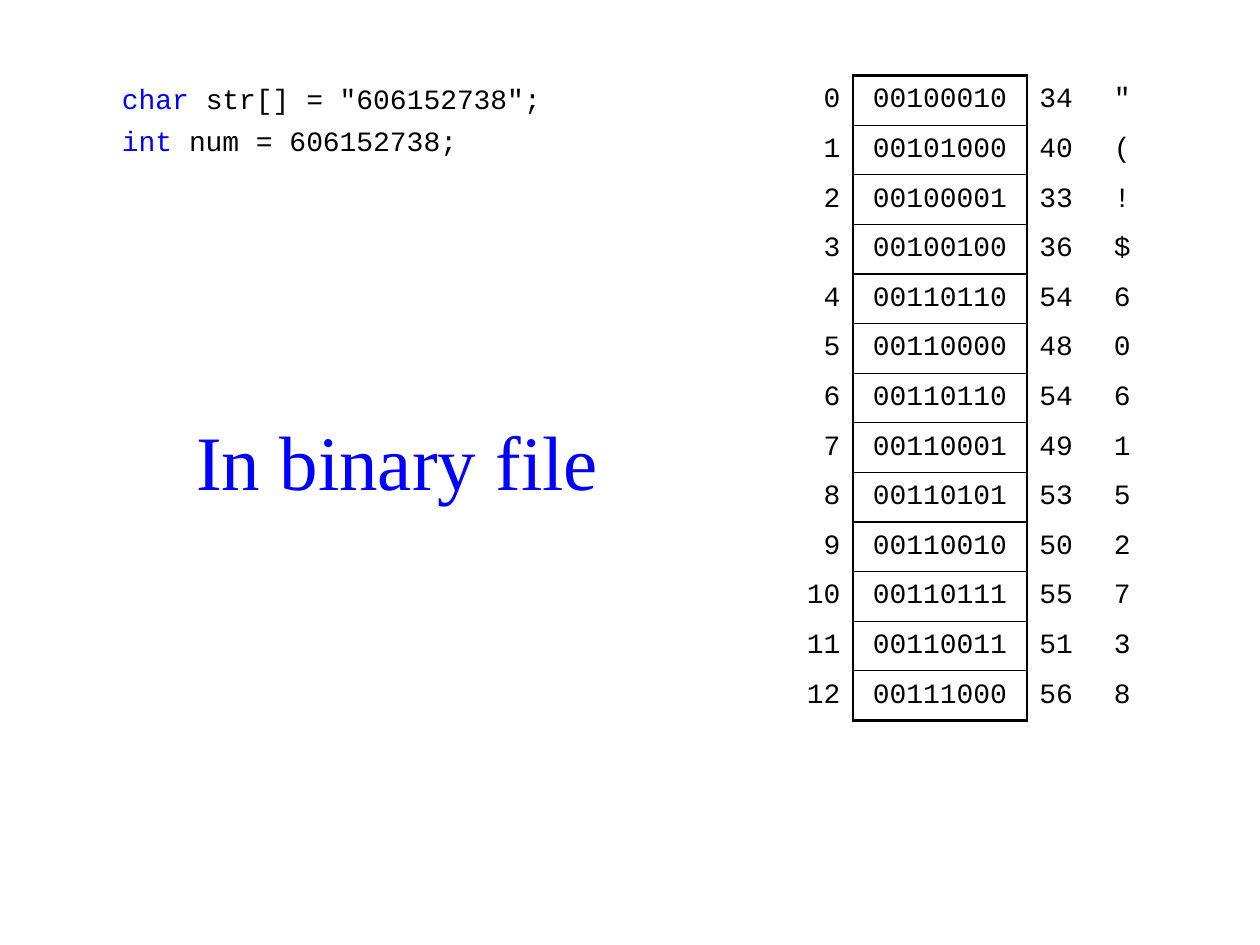
from dataclasses import dataclass

from lxml import etree
from pptx import Presentation
from pptx.dml.color import RGBColor
from pptx.enum.text import MSO_ANCHOR, PP_ALIGN
from pptx.oxml.ns import qn
from pptx.util import Inches, Pt

TOP, MIDDLE = MSO_ANCHOR.TOP, MSO_ANCHOR.MIDDLE
LEFT, CENTER, RIGHT = PP_ALIGN.LEFT, PP_ALIGN.CENTER, PP_ALIGN.RIGHT


@dataclass(frozen=True)
class Theme:
    ink: str = "000000"
    accent: str = "0000FF"
    code_font: str = "Courier New"
    title_font: str = "Times New Roman"
    code_size: float = 16
    title_size: float = 44
    code_gap: float = 4.75
    frame: float = 1.5
    divider: float = 0.75


THEME = Theme()
CODE_FORMAT = {"name": THEME.code_font, "size": Pt(THEME.code_size)}
TITLE_FORMAT = {"name": THEME.title_font, "size": Pt(THEME.title_size)}

TITLE = [[("In binary file", THEME.accent)]]
DECLARATIONS = [
    [("char ", THEME.accent), ('str[] = "606152738";', THEME.ink)],
    [("int ", THEME.accent), ("num = 606152738;", THEME.ink)],
]
FILE_CONTENT = '"(!$606152738'
COLUMN_WIDTHS = (0.59, 1.38, 0.59, 0.39)
COLUMN_ALIGNMENTS = (RIGHT, CENTER, LEFT, LEFT)
COLUMN_INSETS = (0.1, 0.08, 0.1, 0.1)
TABLE_HEIGHT = 5.12


def apply_format(target, values):
    for name, value in values.items():
        setattr(target, name, value)


def add_run(paragraph, text, color, font_format):
    run = paragraph.add_run()
    run.text = text
    apply_format(run.font, font_format)
    run.font.color.rgb = RGBColor.from_string(color)


def add_text(slide, box, lines, font_format, anchor, gap=0):
    frame = slide.shapes.add_textbox(*map(Inches, box)).text_frame
    apply_format(frame, {"word_wrap": True, "vertical_anchor": anchor})
    for index, line in enumerate(lines):
        paragraph = frame.add_paragraph() if index else frame.paragraphs[0]
        paragraph.space_before = Pt(gap)
        for text, color in line:
            add_run(paragraph, text, color, font_format)


def set_borders(cell, widths):
    properties = cell._tc.get_or_add_tcPr()
    for index, side in enumerate("LRTB"):
        line = etree.Element(qn(f"a:ln{side}"))
        width = widths.get(side, 0)
        if width:
            line.set("w", str(Pt(width)))
            fill = etree.SubElement(line, qn("a:solidFill"))
            etree.SubElement(fill, qn("a:srgbClr"), val=THEME.ink)
        else:
            etree.SubElement(line, qn("a:noFill"))
        properties.insert(index, line)


def border_widths(row, column):
    if column == 1:
        return {
            "L": THEME.frame,
            "R": THEME.frame,
            "T": THEME.divider if row else THEME.frame,
            "B": THEME.divider if row < len(FILE_CONTENT) - 1 else THEME.frame,
        }
    return {0: {"R": THEME.frame}, 2: {"L": THEME.frame}}.get(column, {})


def fill_cell(cell, text, row, column):
    inset = Inches(COLUMN_INSETS[column])
    apply_format(cell, {
        "vertical_anchor": MIDDLE,
        "margin_left": inset,
        "margin_right": inset,
        "margin_top": Inches(0.04),
        "margin_bottom": Inches(0.04),
    })
    cell.fill.background()
    paragraph = cell.text_frame.paragraphs[0]
    paragraph.alignment = COLUMN_ALIGNMENTS[column]
    add_run(paragraph, text, THEME.ink, CODE_FORMAT)
    set_borders(cell, border_widths(row, column))


def add_byte_table(slide, left, top):
    box = (left, top, sum(COLUMN_WIDTHS), TABLE_HEIGHT)
    table = slide.shapes.add_table(
        len(FILE_CONTENT), len(COLUMN_WIDTHS), *map(Inches, box)
    ).table
    apply_format(table, {"first_row": False, "horz_banding": False})
    for column, width in zip(table.columns, COLUMN_WIDTHS):
        column.width = Inches(width)
    for address, character in enumerate(FILE_CONTENT):
        table.rows[address].height = Inches(TABLE_HEIGHT / len(FILE_CONTENT))
        code = ord(character)
        values = (str(address), f"{code:08b}", str(code), character)
        for column, text in enumerate(values):
            fill_cell(table.cell(address, column), text, address, column)


def main():
    presentation = Presentation()
    apply_format(presentation, {
        "slide_width": Inches(10), "slide_height": Inches(7.5),
    })
    slide = presentation.slides.add_slide(presentation.slide_layouts[6])
    add_byte_table(slide, 6.18, 0.6)
    add_text(slide, (1.46, 3.16, 3.54, 0.98), TITLE, TITLE_FORMAT, MIDDLE)
    add_text(slide, (0.87, 0.6, 3.74, 0.79), DECLARATIONS, CODE_FORMAT, TOP,
             THEME.code_gap)
    presentation.save("out.pptx")


main()
